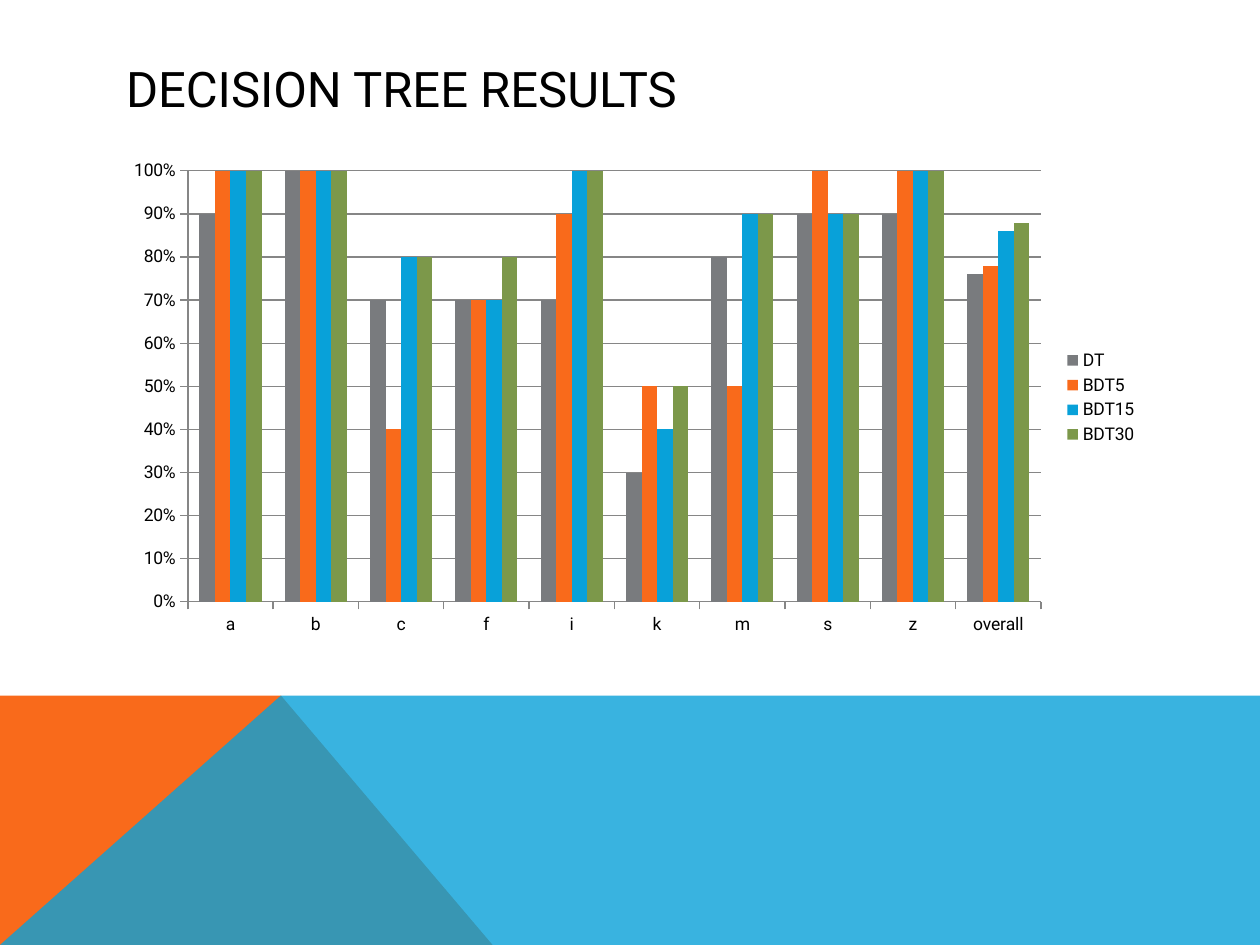
from lxml.etree import SubElement
from pptx import Presentation
from pptx.chart.data import CategoryChartData
from pptx.dml.color import RGBColor
from pptx.enum.chart import XL_CHART_TYPE as ChartType
from pptx.enum.chart import XL_LEGEND_POSITION as LegendPosition
from pptx.enum.chart import XL_TICK_MARK as TickMark
from pptx.enum.text import MSO_ANCHOR as Anchor
from pptx.enum.text import PP_ALIGN as Align
from pptx.oxml.ns import qn
from pptx.util import Inches, Pt

FONT = "Roboto"
BLACK = RGBColor(0x00, 0x00, 0x00)
GRAY = RGBColor(0x79, 0x7B, 0x7E)
ORANGE = RGBColor(0xF9, 0x6A, 0x1B)
BLUE = RGBColor(0x08, 0xA1, 0xD9)
GREEN = RGBColor(0x7C, 0x98, 0x4A)
LINE_GRAY = RGBColor(0x86, 0x86, 0x86)

WIDTH, HEIGHT = 10, 7.5
BAND_TOP, PEAK_X, FOOT_X = 5.52, 2.23, 3.91

LETTERS = ["a", "b", "c", "f", "i", "k", "m", "s", "z", "overall"]
RESULTS = [
    ("DT", GRAY, [0.9, 1, 0.7, 0.7, 0.7, 0.3, 0.8, 0.9, 0.9, 0.76]),
    ("BDT5", ORANGE, [1, 1, 0.4, 0.7, 0.9, 0.5, 0.5, 1, 1, 0.78]),
    ("BDT15", BLUE, [1, 1, 0.8, 0.7, 1, 0.4, 0.9, 0.9, 1, 0.86]),
    ("BDT30", GREEN, [1, 1, 0.8, 0.8, 1, 0.5, 0.9, 0.9, 1, 0.88]),
]


def style_font(font, size):
    """Apply the slide's typeface and text colour."""
    font.name = FONT
    font.size = Pt(size)
    font.color.rgb = BLACK


def add_polygon(page, points, color, opacity=100):
    """Draw a closed, unlined polygon from points in inches."""
    corners = [(Inches(x), Inches(y)) for x, y in points]
    builder = page.shapes.build_freeform(*corners[0])
    builder.add_line_segments(corners[1:], close=True)
    shape = builder.convert_to_shape()
    shape.shadow.inherit = False
    shape.fill.solid()
    shape.fill.fore_color.rgb = color
    shape.line.fill.background()
    if opacity < 100:
        fill_color = shape.fill._xPr.find(f".//{qn('a:srgbClr')}")
        SubElement(fill_color, qn("a:alpha"), val=str(opacity * 1000))


def set_title(page, text):
    """Place and format the title placeholder."""
    title = page.shapes.title
    title.left, title.top = Inches(0.9), Inches(0.4)
    title.width, title.height = Inches(8.22), Inches(0.6)
    frame = title.text_frame
    frame.text = text
    frame.vertical_anchor = Anchor.MIDDLE
    para = frame.paragraphs[0]
    para.alignment = Align.LEFT
    style_font(para.runs[0].font, 28)


def style_axis(axis):
    """Give an axis outward ticks and a gray line."""
    axis.major_tick_mark = TickMark.OUTSIDE
    axis.minor_tick_mark = TickMark.NONE
    axis.format.line.color.rgb = LINE_GRAY
    style_font(axis.tick_labels.font, 10)


def add_results_chart(page):
    """Add the clustered columns of accuracy per letter."""
    data = CategoryChartData(number_format="0%")
    data.categories = LETTERS
    for name, _, values in RESULTS:
        data.add_series(name, values)
    chart = page.shapes.add_chart(
        ChartType.COLUMN_CLUSTERED, Inches(0.9), Inches(1.2),
        Inches(8.23), Inches(3.91), data).chart
    style_font(chart.font, 10)
    chart.has_title = False

    chart.has_legend = True
    chart.legend.position = LegendPosition.RIGHT
    chart.legend.include_in_layout = False
    style_font(chart.legend.font, 10)

    style_axis(chart.category_axis)
    value_axis = chart.value_axis
    style_axis(value_axis)
    value_axis.minimum_scale, value_axis.maximum_scale = 0, 1
    value_axis.major_unit = 0.1
    value_axis.has_major_gridlines = True
    value_axis.major_gridlines.format.line.color.rgb = LINE_GRAY
    value_axis.tick_labels.number_format = "0%"
    value_axis.tick_labels.number_format_is_linked = False

    plot = chart.plots[0]
    plot.vary_by_categories = False
    plot.gap_width, plot.overlap = 150, 0
    for series, (_, color, _) in zip(plot.series, RESULTS):
        series.invert_if_negative = False
        series.format.fill.solid()
        series.format.fill.fore_color.rgb = color


def main():
    """Build and save the slide."""
    deck = Presentation()
    deck.slide_width, deck.slide_height = Inches(WIDTH), Inches(HEIGHT)
    page = deck.slides.add_slide(deck.slide_layouts[5])
    peak = (PEAK_X, BAND_TOP)
    corner = (0, HEIGHT)
    add_polygon(page, [corner, (0, BAND_TOP), peak, (FOOT_X, HEIGHT)], ORANGE)
    add_polygon(page, [corner, peak, (WIDTH, BAND_TOP), (WIDTH, HEIGHT)],
                BLUE, opacity=80)
    set_title(page, "DECISION TREE RESULTS")
    add_results_chart(page)
    deck.save("out.pptx")


main()
